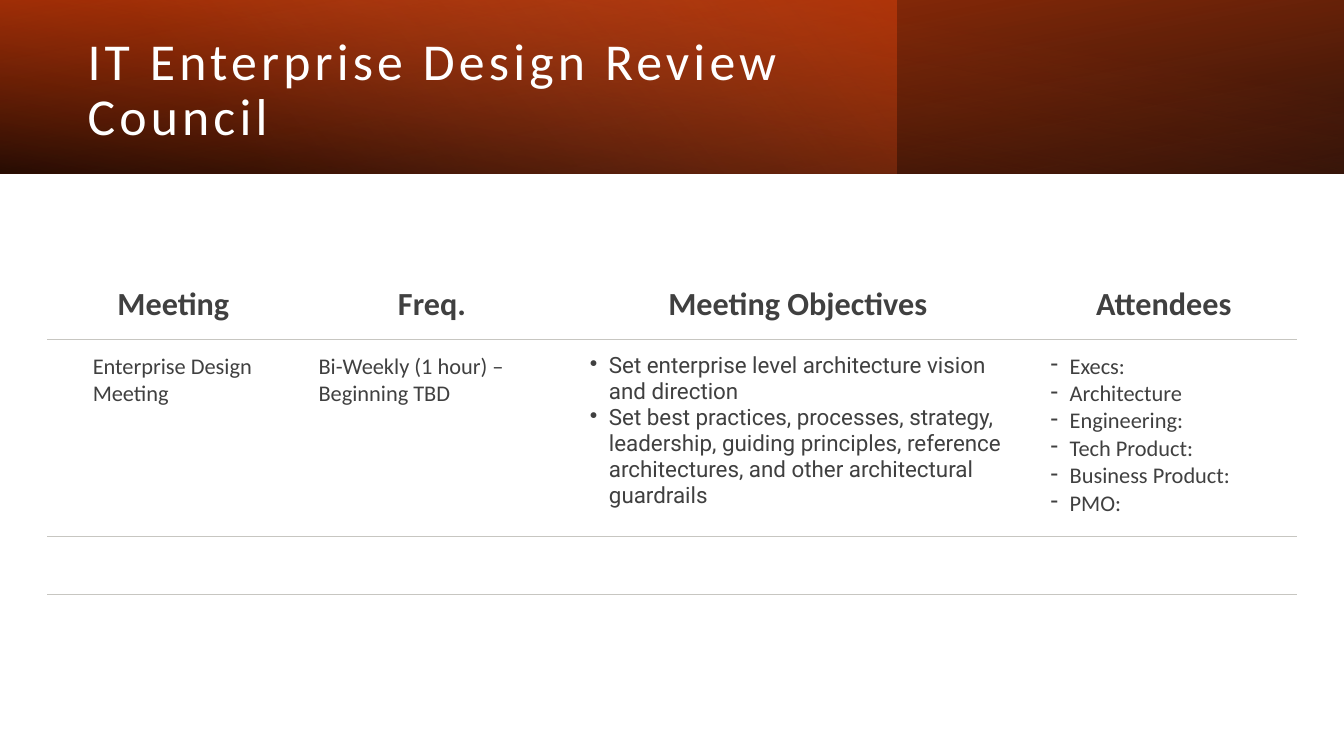
"""Build the design review council slide with its banner and meeting table."""
from dataclasses import dataclass

from pptx import Presentation
from pptx.dml.color import RGBColor
from pptx.enum.shapes import MSO_SHAPE
from pptx.enum.text import MSO_ANCHOR, PP_ALIGN
from pptx.oxml import parse_xml
from pptx.oxml.ns import nsdecls, qn
from pptx.slide import Slide
from pptx.table import _Cell
from pptx.text.text import _Paragraph
from pptx.util import Inches, Pt

COLORS = {"black": "000000", "rust": "B33408", "orange": "EE460B", "peach": "F88E69",
          "white": "FFFFFF", "gray": "404040", "rule": "C7C6C1"}
FORMATS = {
    "title": {"name": "Calibri", "size": Pt(37)},
    "head": {"name": "Calibri", "size": Pt(23), "bold": True},
    "body": {"name": "Calibri", "size": Pt(16), "bold": False},
    "goals": {"name": "Roboto", "size": Pt(16), "bold": False},
}
INSETS = {"margin_left": Inches(0.25), "margin_top": Inches(0.13),
          "margin_right": Inches(0.19), "margin_bottom": Inches(0.13)}
PLAIN = "{2D5ABB26-0587-4C30-8999-92F81FD0307C}"
ROWS = [0.68, 1.95, 0.58, 0.58]


@dataclass
class Stop:
    place: int
    color: str
    alpha: int


@dataclass
class Band:
    width: float
    angle: int
    stops: list[Stop]
    flip: bool = False
    turn: int = 0


@dataclass
class Column:
    width: float
    head: str
    lines: list[str]
    style: str = "body"
    bullet: str = ""
    left: float = 0
    hang: float = 0


BANDS = [
    Band(13.33, 100, [Stop(0, "black", 96), Stop(100, "rust", 100)], True, 180),
    Band(8.89, 140, [Stop(0, "orange", 41), Stop(74, "peach", 0)]),
    Band(13.33, 260, [Stop(0, "black", 63), Stop(78, "orange", 15)], True),
]
COLUMNS = [
    Column(2.44, "Meeting", ["Enterprise Design Meeting"], left=0.2),
    Column(2.69, "Freq.", ["Bi-Weekly (1 hour) – Beginning TBD"]),
    Column(4.57, "Meeting Objectives", [
        "Set enterprise level architecture vision and direction",
        "Set best practices, processes, strategy, leadership, guiding principles, "
        "reference architectures, and other architectural guardrails",
    ], "goals", "•", 0.19, -0.19),
    Column(2.69, "Attendees", ["Execs:", "Architecture", "Engineering:", "Tech Product:",
                               "Business Product:", "PMO:"], "body", "-", 0.19, -0.19),
]


def add_band(slide: Slide, band: Band) -> None:
    shape = slide.shapes.add_shape(MSO_SHAPE.RECTANGLE, 0, 0, Inches(band.width), Inches(1.72))
    shape.shadow.inherit = False
    shape.line.fill.background()
    shape.rotation = band.turn
    props = shape._element.spPr
    if band.flip:
        props.xfrm.set("flipH", "1")
    stops = "".join(
        f'<a:gs pos="{stop.place * 1000}"><a:srgbClr val="{COLORS[stop.color]}">'
        f'<a:alpha val="{stop.alpha * 1000}"/></a:srgbClr></a:gs>' for stop in band.stops)
    props.find(qn("a:prstGeom")).addnext(parse_xml(
        f'<a:gradFill {nsdecls("a")} rotWithShape="1"><a:gsLst>{stops}</a:gsLst>'
        f'<a:lin ang="{band.angle * 60000}" scaled="0"/></a:gradFill>'))


def write(para: _Paragraph, text: str, style: str, color: str) -> None:
    run = para.add_run()
    run.text = text
    for name, value in FORMATS[style].items():
        setattr(run.font, name, value)
    run.font.color.rgb = RGBColor.from_string(COLORS[color])


def add_title(slide: Slide, text: str) -> None:
    box = slide.shapes.add_textbox(Inches(0.77), Inches(0.27), Inches(7.72), Inches(1.27))
    frame = box.text_frame
    frame.word_wrap = True
    frame.vertical_anchor = MSO_ANCHOR.MIDDLE
    para = frame.paragraphs[0]
    para.line_spacing = 0.9
    write(para, text, "title", "white")
    para.runs[0].font._element.set("spc", "300")


def rule(cell: _Cell, edges: list[str]) -> None:
    props = cell._tc.get_or_add_tcPr()
    for place, edge in enumerate(edges):
        props.insert(place, parse_xml(
            f'<a:{edge} {nsdecls("a")} w="9525"><a:solidFill>'
            f'<a:srgbClr val="{COLORS["rule"]}"/></a:solidFill></a:{edge}>'))


def fill_body(cell: _Cell, column: Column) -> None:
    frame = cell.text_frame
    for count, line in enumerate(column.lines):
        para = frame.add_paragraph() if count else frame.paragraphs[0]
        write(para, line, column.style, "gray")
        props = para._p.get_or_add_pPr()
        props.set("marL", str(Inches(column.left)))
        props.set("indent", str(Inches(column.hang)))
        if column.bullet:
            props.append(parse_xml(f'<a:buChar {nsdecls("a")} char="{column.bullet}"/>'))


def add_grid(slide: Slide) -> None:
    width = sum(column.width for column in COLUMNS)
    grid = slide.shapes.add_table(len(ROWS), len(COLUMNS), Inches(0.47), Inches(2.69),
                                  Inches(width), Inches(sum(ROWS))).table
    grid.first_row = grid.horz_banding = False
    grid._tbl.tblPr.find(qn("a:tableStyleId")).text = PLAIN
    for row, height in zip(grid.rows, ROWS):
        row.height = Inches(height)
    for col, column in enumerate(COLUMNS):
        grid.columns[col].width = Inches(column.width)
        for row in range(len(ROWS)):
            cell = grid.cell(row, col)
            cell.fill.background()
            edges = ["lnT"] if row else []
            rule(cell, edges + (["lnB"] if row < len(ROWS) - 1 else []))
        for row in range(2):
            for name, value in INSETS.items():
                setattr(grid.cell(row, col), name, value)
        para = grid.cell(0, col).text_frame.paragraphs[0]
        para.alignment = PP_ALIGN.CENTER
        write(para, column.head, "head", "gray")
        fill_body(grid.cell(1, col), column)


def main() -> None:
    deck = Presentation()
    deck.slide_width, deck.slide_height = Inches(13.33), Inches(7.5)
    slide = deck.slides.add_slide(deck.slide_layouts[6])
    for band in BANDS:
        add_band(slide, band)
    add_title(slide, "IT Enterprise Design Review Council")
    add_grid(slide)
    deck.save("out.pptx")


if __name__ == "__main__":
    main()
